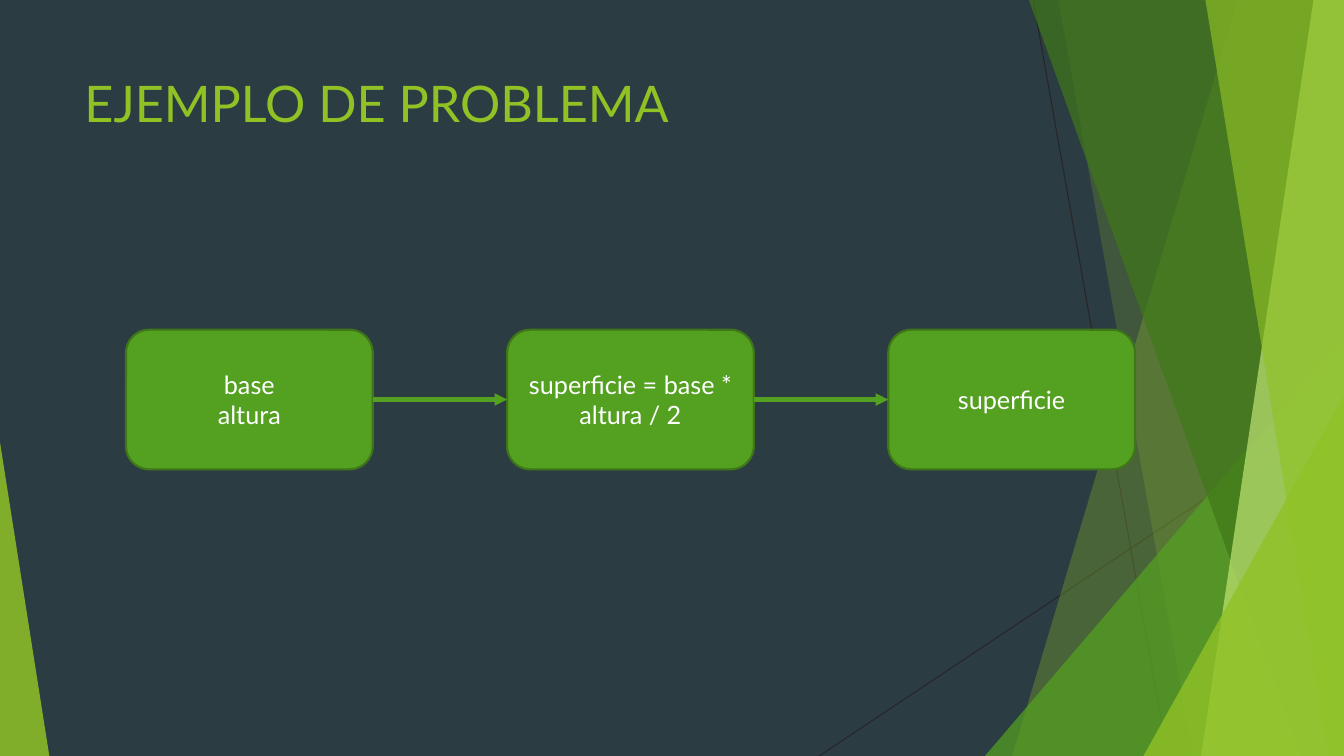
"""Slide with a three-step problem flow on a faceted green backdrop."""
from pptx import Presentation
from pptx.dml.color import RGBColor as Rgb
from pptx.enum.shapes import MSO_CONNECTOR as Conn, MSO_SHAPE as Kind
from pptx.enum.text import MSO_ANCHOR as Anchor, PP_ALIGN as Align
from pptx.oxml.ns import qn
from pptx.util import Pt
from lxml.etree import SubElement as Sub

PX = 9525
WIDE, HIGH = 1280, 720
FONT = "Lato"
HUES = {
    "back": "2C3C43", "thin": "262626", "lime": "90C226", "green": "54A021",
    "dark": "3F7819", "pale": "C0E474", "edge": "3E7618", "white": "FFFFFF",
}
STEPS = [["base", "altura"], ["superficie = base * altura / 2"], ["superficie"]]


def hue(name):
    """Return the named colour."""
    return Rgb.from_string(HUES[name])


def emu(*vals):
    """Turn px lengths into EMU."""
    return [val * PX for val in vals]


def tint(shape, name, alpha):
    """Fill a shape with a see-through colour and no outline."""
    shape.shadow.inherit = False
    shape.fill.solid()
    shape.fill.fore_color.rgb = hue(name)
    shape.line.fill.background()
    for color in shape.element.iter(qn("a:srgbClr")):
        Sub(color, qn("a:alpha"), val=str(alpha * 1000))


def add_band(slide, top, foot, name, alpha):
    """Add a band from a slanted left edge to the right side of the slide."""
    form = slide.shapes.build_freeform(top, 0, scale=PX)
    form.add_line_segments([(WIDE, 0), (WIDE, HIGH), (foot, HIGH)], close=True)
    tint(form.convert_to_shape(), name, alpha)


def add_wedge(slide, left, top, width, tip, name, alpha):
    """Add a right triangle that stands on the foot of the slide."""
    wedge = slide.shapes.add_shape(
        Kind.ISOSCELES_TRIANGLE, *emu(left, top, width, HIGH - top))
    wedge.adjustments[0] = tip
    tint(wedge, name, alpha)


def add_line(slide, ends, name, width):
    """Add a straight line without a shadow."""
    line = slide.shapes.add_connector(Conn.STRAIGHT, *emu(*ends))
    line.line.color.rgb = hue(name)
    line.line.width = Pt(width)
    Sub(line.element.spPr, qn("a:effectLst"))
    return line


def add_arrow(slide, start, end):
    """Join two boxes with an arrow."""
    arrow = add_line(slide, (0, 0, 0, 0), "green", 3)
    arrow.begin_connect(start, 3)
    arrow.end_connect(end, 1)
    Sub(arrow.line._get_or_add_ln(), qn("a:tailEnd"), type="triangle")


def write(frame, rows, size, name, align):
    """Write each row as one paragraph with one run."""
    frame.word_wrap = True
    for num, row in enumerate(rows):
        para = frame.add_paragraph() if num else frame.paragraphs[0]
        para.alignment = align
        run = para.add_run()
        run.text = row
        run.font.name = FONT
        run.font.size = Pt(size)
        run.font.color.rgb = hue(name)


def add_title(slide, text):
    """Add the slide title."""
    box = slide.shapes.add_textbox(*emu(71, 64, 902, 138))
    write(box.text_frame, [text], 36, "lime", Align.LEFT)


def add_step(slide, left, rows):
    """Add one rounded box of the flow."""
    box = slide.shapes.add_shape(
        Kind.ROUNDED_RECTANGLE, *emu(left, 314, 235, 133))
    box.shadow.inherit = False
    box.fill.solid()
    box.fill.fore_color.rgb = hue("green")
    box.line.color.rgb = hue("edge")
    box.line.width = Pt(1.5)
    box.text_frame.vertical_anchor = Anchor.MIDDLE
    write(box.text_frame, rows, 18, "white", Align.CENTER)
    return box


def add_decor(slide):
    """Add the lines, bands and wedges of the backdrop."""
    add_line(slide, (984, 0, 1112, HIGH), "thin", 0.75)
    add_line(slide, (WIDE, 387, 780, HIGH), "thin", 0.75)
    add_band(slide, 1179, 964, "lime", 30)
    add_band(slide, 1008, 1136, "lime", 20)
    add_wedge(slide, 938, 320, 342, 1, "green", 72)
    add_band(slide, 980, 1239, "dark", 70)
    add_band(slide, 1251, 1144, "pale", 70)
    add_band(slide, 1148, 1265, "lime", 65)
    add_wedge(slide, 1089, 377, 191, 1, "lime", 80)
    add_wedge(slide, 0, 421, 47, 0, "lime", 85)


def main():
    """Build and save the slide."""
    deck = Presentation()
    deck.slide_width, deck.slide_height = emu(WIDE, HIGH)
    slide = deck.slides.add_slide(deck.slide_layouts[6])
    slide.background.fill.solid()
    slide.background.fill.fore_color.rgb = hue("back")
    add_decor(slide)
    add_title(slide, "EJEMPLO DE PROBLEMA")
    boxes = [add_step(slide, 120 + 363 * num, rows)
             for num, rows in enumerate(STEPS)]
    for start, end in zip(boxes, boxes[1:]):
        add_arrow(slide, start, end)
    deck.save("out.pptx")


if __name__ == "__main__":
    main()
